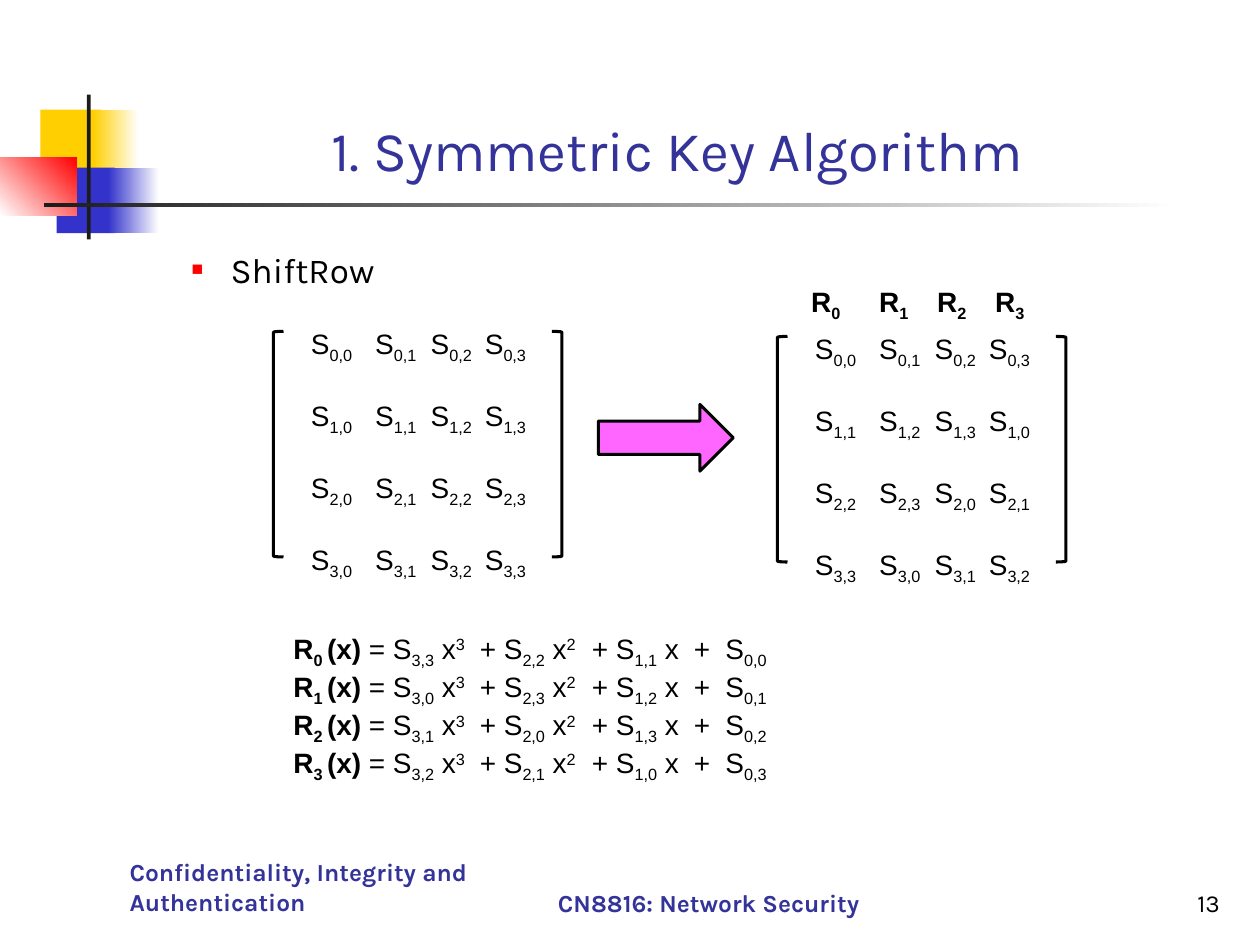
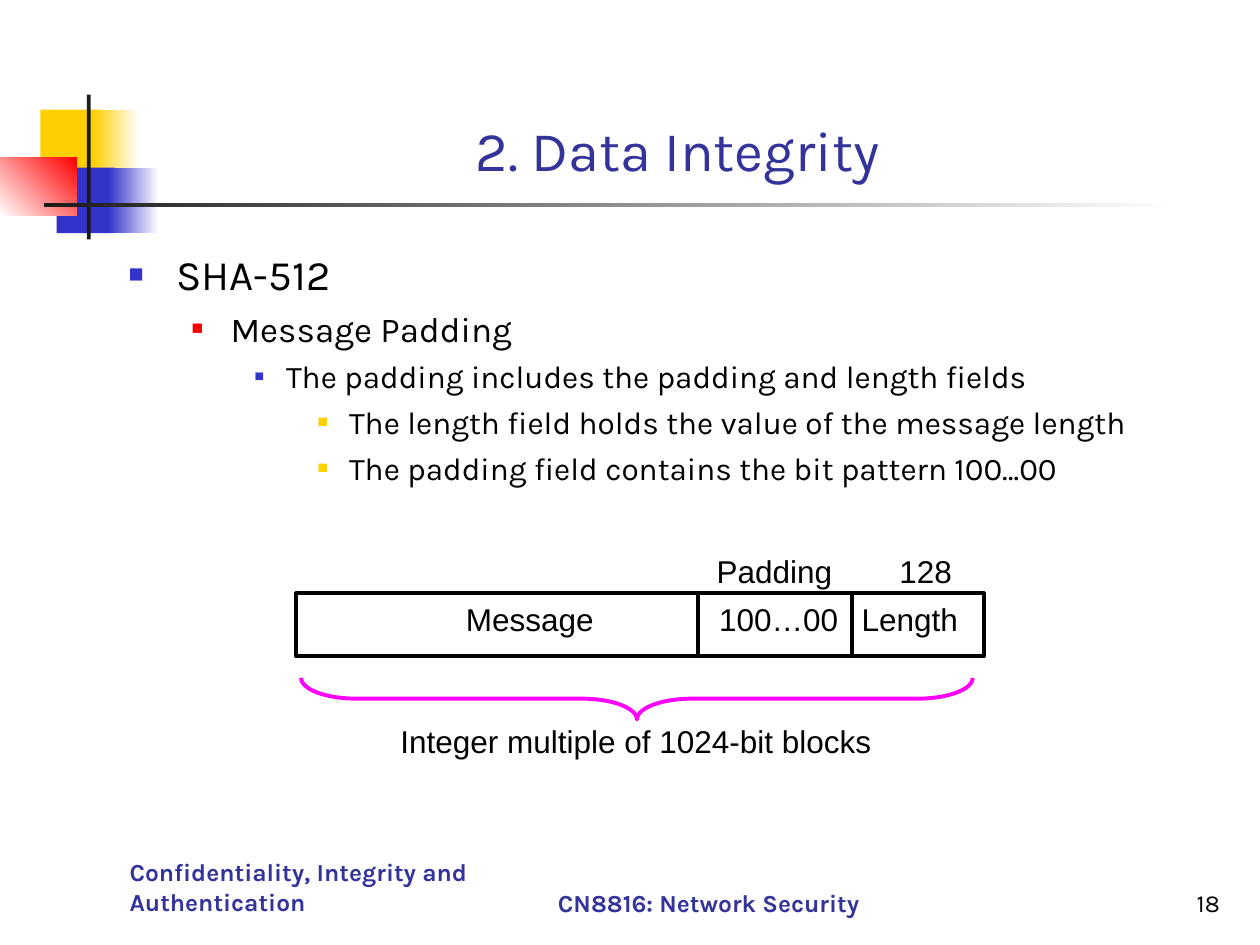
from dataclasses import dataclass
from typing import NamedTuple

from lxml.etree import SubElement
from pptx import Presentation
from pptx.dml.color import RGBColor
from pptx.enum.shapes import MSO_CONNECTOR, MSO_SHAPE
from pptx.enum.text import MSO_ANCHOR, MSO_AUTO_SIZE, PP_ALIGN
from pptx.oxml.ns import qn
from pptx.util import Inches, Pt

BLACK = RGBColor(0x00, 0x00, 0x00)
WHITE = RGBColor(0xFF, 0xFF, 0xFF)
GOLD = RGBColor(0xFF, 0xCF, 0x01)
BLUE = RGBColor(0x33, 0x33, 0xCC)
RED = RGBColor(0xFF, 0x00, 0x00)
DARK = RGBColor(0x1C, 0x1C, 0x1C)
NAVY = RGBColor(0x33, 0x33, 0x99)
PINK = RGBColor(0xFF, 0x66, 0xFF)
BRIGHT = RGBColor(0xFF, 0x00, 0xFF)

TITLE = {"name": "Karla", "size": Pt(32), "bold": False}
FOOT = {"name": "Karla", "size": Pt(14), "bold": True}
NUMBER = {"name": "Karla", "size": Pt(14), "bold": False}
MATH = {"name": "Arial", "size": Pt(16)}
LABEL = {"name": "Arial", "size": Pt(18)}
SUB, SUPER = -25000, 30000


class Box(NamedTuple):
    left: float
    top: float
    width: float
    height: float


class Piece(NamedTuple):
    text: str
    base: int = 0
    bold: bool = False


Line = list[Piece]


@dataclass
class Band:
    box: Box
    start: RGBColor
    end: RGBColor | None = None
    angle: int = 0


@dataclass
class Level:
    margin: float
    hang: float
    before: float
    tint: RGBColor
    scale: int
    size: int


BANDS = [
    Band(Box(0.32, 0.87, 0.48, 0.52), GOLD),
    Band(Box(0.74, 0.87, 0.36, 0.52), GOLD, WHITE),
    Band(Box(0.45, 1.33, 0.46, 0.52), BLUE),
    Band(Box(0.86, 1.33, 0.4, 0.52), BLUE, WHITE),
    Band(Box(0, 1.25, 0.61, 0.46), WHITE, RED, 45),
    Band(Box(0.69, 0.75, 0.03, 1.15), DARK),
    Band(Box(0.35, 1.61, 9, 0.03), DARK, WHITE),
]
LEVELS = [
    Level(0.38, 0.38, 6, BLUE, 60, 24),
    Level(0.81, 0.31, 5, RED, 55, 20),
    Level(1.25, 0.25, 4.5, BLUE, 50, 18),
    Level(1.75, 0.25, 4.5, GOLD, 55, 18),
]


def place(shape, box: Box) -> None:
    for name, value in box._asdict().items():
        setattr(shape, name, Inches(value))


def style(font, look: dict, tint: RGBColor = BLACK) -> None:
    for name, value in look.items():
        setattr(font, name, value)
    font.color.rgb = tint


def draw(slide, kind, box: Box, fill=None, line=None, weight: float = 0):
    shape = slide.shapes.add_shape(kind, *map(Inches, box))
    shape.shadow.inherit = False
    if fill is None:
        shape.fill.background()
    else:
        shape.fill.solid()
        shape.fill.fore_color.rgb = fill
    if line is None:
        shape.line.fill.background()
    else:
        shape.line.color.rgb = line
        shape.line.width = Pt(weight)
    return shape


def rule(slide, x: float, top: float, end: float) -> None:
    line = slide.shapes.add_connector(
        MSO_CONNECTOR.STRAIGHT, Inches(x), Inches(top), Inches(x), Inches(end))
    line.line.color.rgb = BLACK
    line.line.width = Pt(2.25)
    SubElement(line.element.spPr, qn("a:effectLst"))


def write(slide, box: Box, lines: list[Line], look: dict, tint: RGBColor = BLACK,
          align=PP_ALIGN.LEFT, anchor=MSO_ANCHOR.TOP, stops: tuple = (), gap: float = 0) -> None:
    frame = slide.shapes.add_textbox(*map(Inches, box)).text_frame
    frame.word_wrap = True
    frame.vertical_anchor = anchor
    for row, line in enumerate(lines):
        para = frame.add_paragraph() if row else frame.paragraphs[0]
        if stops:
            tabs = SubElement(para._p.get_or_add_pPr(), qn("a:tabLst"))
            for stop in stops:
                SubElement(tabs, qn("a:tab"), pos=str(Inches(stop)), algn="l")
        para.alignment = align
        if row and gap:
            para.space_before = Pt(gap)
        for piece in line:
            run = para.add_run()
            run.text = piece.text
            style(run.font, {"bold": piece.bold, **look}, tint)
            if piece.base:
                run._r.get_or_add_rPr().set("baseline", str(piece.base))


def dress(slide, layout) -> None:
    for spot, band in enumerate(BANDS):
        shape = draw(slide, MSO_SHAPE.RECTANGLE, band.box, band.start)
        if band.end is not None:
            shape.fill.gradient()
            shape.fill.gradient_angle = band.angle
            for stop, tint in zip(shape.fill.gradient_stops, (band.start, band.end)):
                stop.color.rgb = tint
        layout.shapes.element.insert(2 + spot, shape.element)


def bullet(para, depth: int, first: bool) -> None:
    level = LEVELS[depth]
    para.level = depth
    props = para._p.get_or_add_pPr()
    props.set("marL", str(Inches(level.margin)))
    props.set("indent", str(-Inches(level.hang)))
    tint = SubElement(props, qn("a:buClr"))
    SubElement(tint, qn("a:srgbClr"), val=str(level.tint))
    SubElement(props, qn("a:buSzPct"), val=str(level.scale * 1000))
    SubElement(props, qn("a:buFont"), typeface="Arial")
    SubElement(props, qn("a:buChar"), char="■")
    para.space_before = Pt(0 if first else level.before)


def start(deck, title: str, items: list[tuple[int, str]], number: str):
    slide = deck.slides.add_slide(deck.slide_layouts[1])
    head, body = slide.placeholders
    place(head, Box(1.12, 0.33, 8.52, 1.17))
    place(body, Box(0.92, 1.92, 8.88, 4.79))
    for shape in (head, body):
        shape.text_frame.auto_size = MSO_AUTO_SIZE.NONE
    head.text_frame.vertical_anchor = MSO_ANCHOR.BOTTOM
    para = head.text_frame.paragraphs[0]
    para.alignment = PP_ALIGN.CENTER
    run = para.add_run()
    run.text = title
    style(run.font, TITLE, NAVY)
    for spot, (depth, text) in enumerate(items):
        para = body.text_frame.add_paragraph() if spot else body.text_frame.paragraphs[0]
        bullet(para, depth, spot == 0)
        run = para.add_run()
        run.text = text
        style(run.font, {"name": "Karla", "size": Pt(LEVELS[depth].size)})
    for box, text, look, tint, align in (
        (Box(0.93, 6.82, 3, 0.5), "Confidentiality, Integrity and Authentication",
         FOOT, NAVY, PP_ALIGN.LEFT),
        (Box(4, 6.83, 3.25, 0.5), "CN8816: Network Security", FOOT, NAVY, PP_ALIGN.CENTER),
        (Box(7.7, 6.83, 2.08, 0.5), number, NUMBER, BLACK, PP_ALIGN.RIGHT),
    ):
        write(slide, box, [[Piece(text)]], look, tint, align, MSO_ANCHOR.BOTTOM)
    return slide


def term(row: int, col: int, lead: str = "") -> Line:
    return [Piece(lead + "S"), Piece(f"{row},{col % 4}", SUB)]


def matrix(slide, left: float, top: float, shift: int) -> None:
    lines = [
        [piece for col in range(4)
         for piece in term(row, col + row * shift, "\t" if col else "")]
        for row in range(4)
    ]
    write(slide, Box(left, top, 2, 2.11), lines, MATH, stops=(0.51, 0.95, 1.38), gap=19.4)
    for kind, x in ((MSO_SHAPE.LEFT_BRACKET, -0.2), (MSO_SHAPE.RIGHT_BRACKET, 2.01)):
        draw(slide, kind, Box(left + x, top + 0.09, 0.08, 1.79), line=BLACK, weight=1.75)


def formula(col: int) -> Line:
    return [
        Piece("R", 0, True), Piece(f"{col} ", SUB, True), Piece("(x) ", 0, True),
        *term(3, col + 3, "= "), Piece(" x"), Piece("3", SUPER),
        *term(2, col + 2, "\t+ "), Piece(" x"), Piece("2", SUPER),
        *term(1, col + 1, "\t+ "), Piece(" x"),
        *term(0, col, "\t+\t"),
    ]


def shift_row(deck):
    slide = start(deck, "1. Symmetric Key Algorithm", [(1, "ShiftRow")], "13")
    matrix(slide, 2.37, 2.54, 0)
    draw(slide, MSO_SHAPE.RIGHT_ARROW, Box(4.75, 3.21, 1.07, 0.53), PINK, BLACK, 1.75)
    matrix(slide, 6.37, 2.58, 1)
    for col, left in enumerate((6.34, 6.88, 7.34, 7.8)):
        name = [Piece("R", 0, True), Piece(str(col), SUB, True)]
        write(slide, Box(left, 2.21, 0.5, 0.41), [name], MATH)
    write(slide, Box(2.23, 4.96, 4.1, 1.32), [formula(col) for col in range(4)],
          MATH, stops=(1.48, 2.37, 3.18, 3.43))
    return slide


def padding(deck) -> None:
    slide = start(deck, "2. Data Integrity", [
        (0, "SHA-512"),
        (1, "Message Padding"),
        (2, "The padding includes the padding and length fields"),
        (3, "The length field holds the value of the message length"),
        (3, "The padding field contains the bit pattern 100…00"),
    ], "18")
    draw(slide, MSO_SHAPE.RECTANGLE, Box(2.35, 4.71, 5.46, 0.5), line=BLACK, weight=2.25)
    for x in (5.54, 6.76):
        rule(slide, x, 4.71, 5.22)
    write(slide, Box(3.6, 4.71, 4.2, 0.4), [[Piece("Message\t100…00\tLength")]],
          LABEL, stops=(2.01, 3.14))
    for box, text in (
        (Box(5.59, 4.33, 1.2, 0.4), "Padding"),
        (Box(7.04, 4.33, 0.7, 0.4), "128"),
        (Box(3.08, 5.68, 4.1, 0.4), "Integer multiple of 1024-bit blocks"),
    ):
        write(slide, box, [[Piece(text)]], LABEL)
    brace = draw(slide, MSO_SHAPE.LEFT_BRACE, Box(4.89, 2.88, 0.33, 5.33),
                 line=BRIGHT, weight=2.25)
    brace.rotation = 270
    brace.adjustments[0] = 1.33


def main() -> None:
    deck = Presentation()
    deck.slide_width, deck.slide_height = Inches(10), Inches(7.5)
    first = shift_row(deck)
    dress(first, first.slide_layout)
    padding(deck)
    deck.save("out.pptx")


if __name__ == "__main__":
    main()
